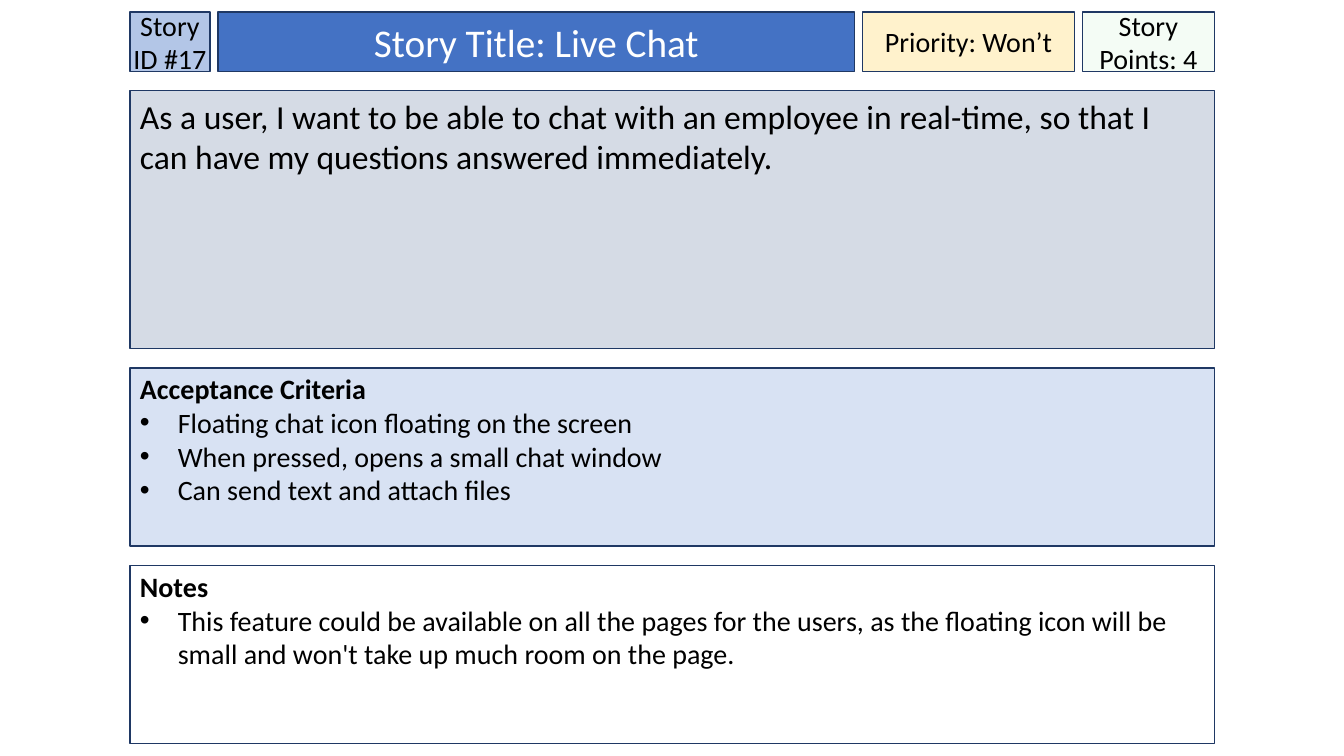
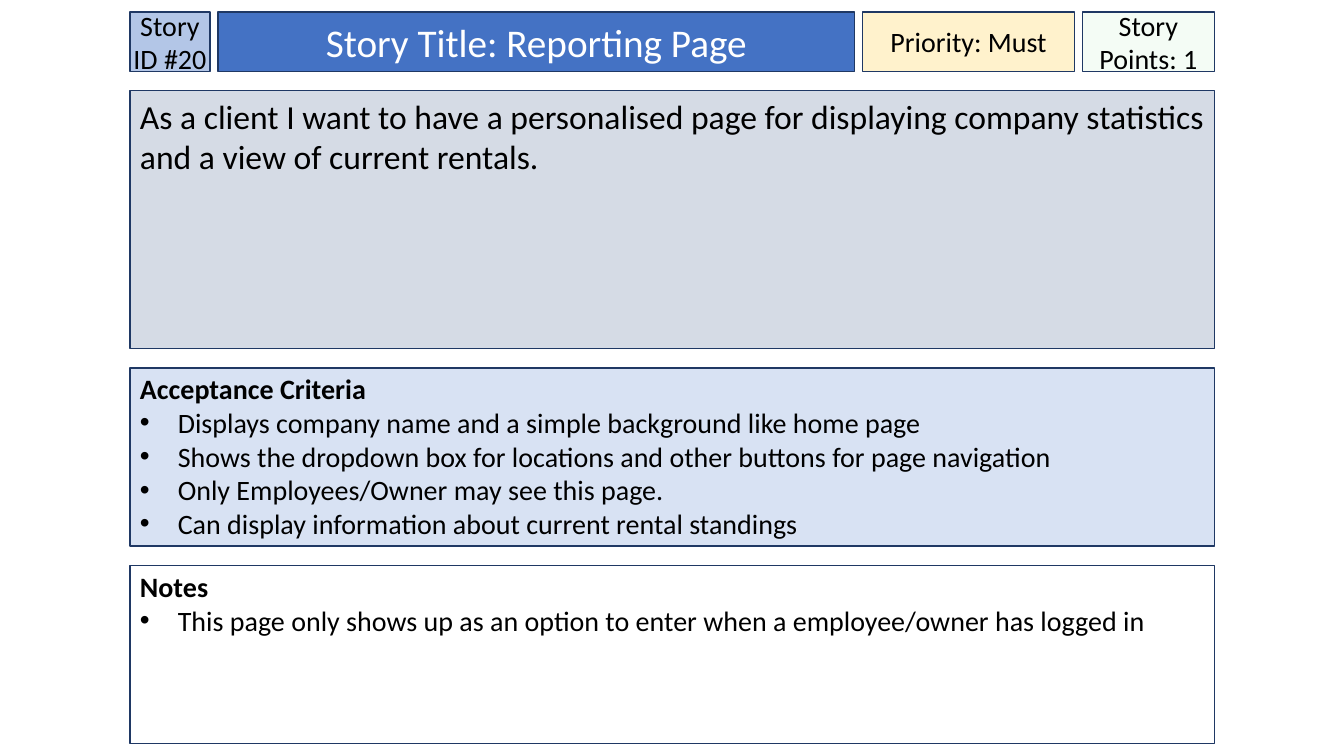
from dataclasses import dataclass
from typing import Optional

from lxml import etree
from pptx import Presentation
from pptx import util as u
from pptx.dml import color
from pptx.enum import shapes, text
from pptx.oxml import ns

FONT = "Calibri"
BLACK, WHITE, OUTLINE = "000000", "FFFFFF", "1F3864"
LEFT, TOP, WIDTH = 92.9, 8.6, 774.5
HEADER_HEIGHT = 42.5
COLUMN_GAP, ROW_GAP = 5.7, 13.7
INDENT = 27


@dataclass(frozen=True)
class Story:
    number: int
    title: str
    priority: str
    points: int
    description: str
    criteria: tuple[str, ...]
    notes: tuple[str, ...]


@dataclass(frozen=True)
class Box:
    size: float
    fill: str
    font_size: float = 20
    font_color: str = BLACK
    side_inset: float = 7.2
    top_inset: float = 3.6
    opacity: Optional[int] = None


ID_BOX = Box(57, "B3C6E7", side_inset=0)
TITLE_BOX = Box(455, "4472C4", font_size=28, font_color=WHITE)
PRIORITY_BOX = Box(151.2, "FFF2CC", side_inset=0)
POINTS_BOX = Box(94.2, "CCF0CD", side_inset=0, opacity=20)
DESCRIPTION_BOX = Box(184.3, "D5DBE5", font_size=24)
CRITERIA_BOX = Box(127.4, "D8E2F3", top_inset=2.9)
NOTES_BOX = Box(127.4, WHITE, top_inset=2.9)

STORIES = (
    Story(
        17, "Live Chat", "Won’t", 4,
        "As a user, I want to be able to chat with an employee in real-time, "
        "so that I can have my questions answered immediately.",
        ("Floating chat icon floating on the screen",
         "When pressed, opens a small chat window",
         "Can send text and attach files"),
        ("This feature could be available on all the pages for the users, as the "
         "floating icon will be small and won't take up much room on the page.",),
    ),
    Story(
        20, "Reporting Page", "Must", 1,
        "As a client I want to have a personalised page for displaying company "
        "statistics and a view of current rentals.",
        ("Displays company name and a simple background like home page",
         "Shows the dropdown box for locations and other buttons for page navigation",
         "Only Employees/Owner may see this page.",
         "Can display information about current rental standings"),
        ("This page only shows up as an option to enter when a employee/owner "
         "has logged in",),
    ),
)


def set_color(target, value: str) -> None:
    target.rgb = color.RGBColor.from_string(value)


def add_bullet(paragraph) -> None:
    properties = paragraph._p.get_or_add_pPr()
    properties.set("marL", str(u.Pt(INDENT)))
    properties.set("indent", str(-u.Pt(INDENT)))
    bullet_color = etree.SubElement(properties, ns.qn("a:buClr"))
    etree.SubElement(bullet_color, ns.qn("a:srgbClr"), val=BLACK)
    etree.SubElement(properties, ns.qn("a:buFont"), typeface="Arial")
    etree.SubElement(properties, ns.qn("a:buChar"), char="•")


def add_box(slide, box: Box, left: float, top: float, width: float, height: float):
    shape = slide.shapes.add_shape(
        shapes.MSO_SHAPE.RECTANGLE, u.Pt(left), u.Pt(top), u.Pt(width), u.Pt(height))
    shape.shadow.inherit = False
    shape.fill.solid()
    set_color(shape.fill.fore_color, box.fill)
    if box.opacity is not None:
        fill_color = shape._element.spPr.find(ns.qn("a:solidFill"))[0]
        etree.SubElement(fill_color, ns.qn("a:alpha"), val=str(box.opacity * 1000))
    set_color(shape.line.color, OUTLINE)
    shape.line.width = u.Pt(1)
    frame = shape.text_frame
    frame.word_wrap = True
    frame.margin_left = frame.margin_right = u.Pt(box.side_inset)
    frame.margin_top, frame.margin_bottom = u.Pt(box.top_inset), u.Pt(3.6)
    return frame


def write(paragraph, content: str, box: Box, align, bold: bool = False,
          bullet: bool = False) -> None:
    paragraph.text = content
    paragraph.alignment = align
    if bullet:
        add_bullet(paragraph)
    paragraph.font.name = FONT
    paragraph.font.size = u.Pt(box.font_size)
    paragraph.font.bold = bold
    set_color(paragraph.font.color, box.font_color)


def add_header(slide, story: Story) -> None:
    left = LEFT
    for box, label in (
        (ID_BOX, f"Story ID #{story.number}"),
        (TITLE_BOX, f"Story Title: {story.title}"),
        (PRIORITY_BOX, f"Priority: {story.priority}"),
        (POINTS_BOX, f"Story Points: {story.points}"),
    ):
        frame = add_box(slide, box, left, TOP, box.size, HEADER_HEIGHT)
        frame.vertical_anchor = text.MSO_ANCHOR.MIDDLE
        write(frame.paragraphs[0], label, box, text.PP_ALIGN.CENTER)
        left += box.size + COLUMN_GAP


def add_panels(slide, story: Story) -> None:
    top = TOP + HEADER_HEIGHT + ROW_GAP
    for box, opening, bullets in (
        (DESCRIPTION_BOX, story.description, ()),
        (CRITERIA_BOX, "Acceptance Criteria", story.criteria),
        (NOTES_BOX, "Notes", story.notes),
    ):
        frame = add_box(slide, box, LEFT, top, WIDTH, box.size)
        frame.vertical_anchor = text.MSO_ANCHOR.TOP
        write(frame.paragraphs[0], opening, box, text.PP_ALIGN.LEFT, bold=bool(bullets))
        for item in bullets:
            write(frame.add_paragraph(), item, box, text.PP_ALIGN.LEFT, bullet=True)
        top += box.size + ROW_GAP


def main() -> None:
    """Build one card slide for each user story."""
    presentation = Presentation()
    presentation.slide_width, presentation.slide_height = u.Pt(960), u.Pt(540)
    for story in STORIES:
        slide = presentation.slides.add_slide(presentation.slide_layouts[6])
        add_header(slide, story)
        add_panels(slide, story)
    presentation.save("out.pptx")


if __name__ == "__main__":
    main()
